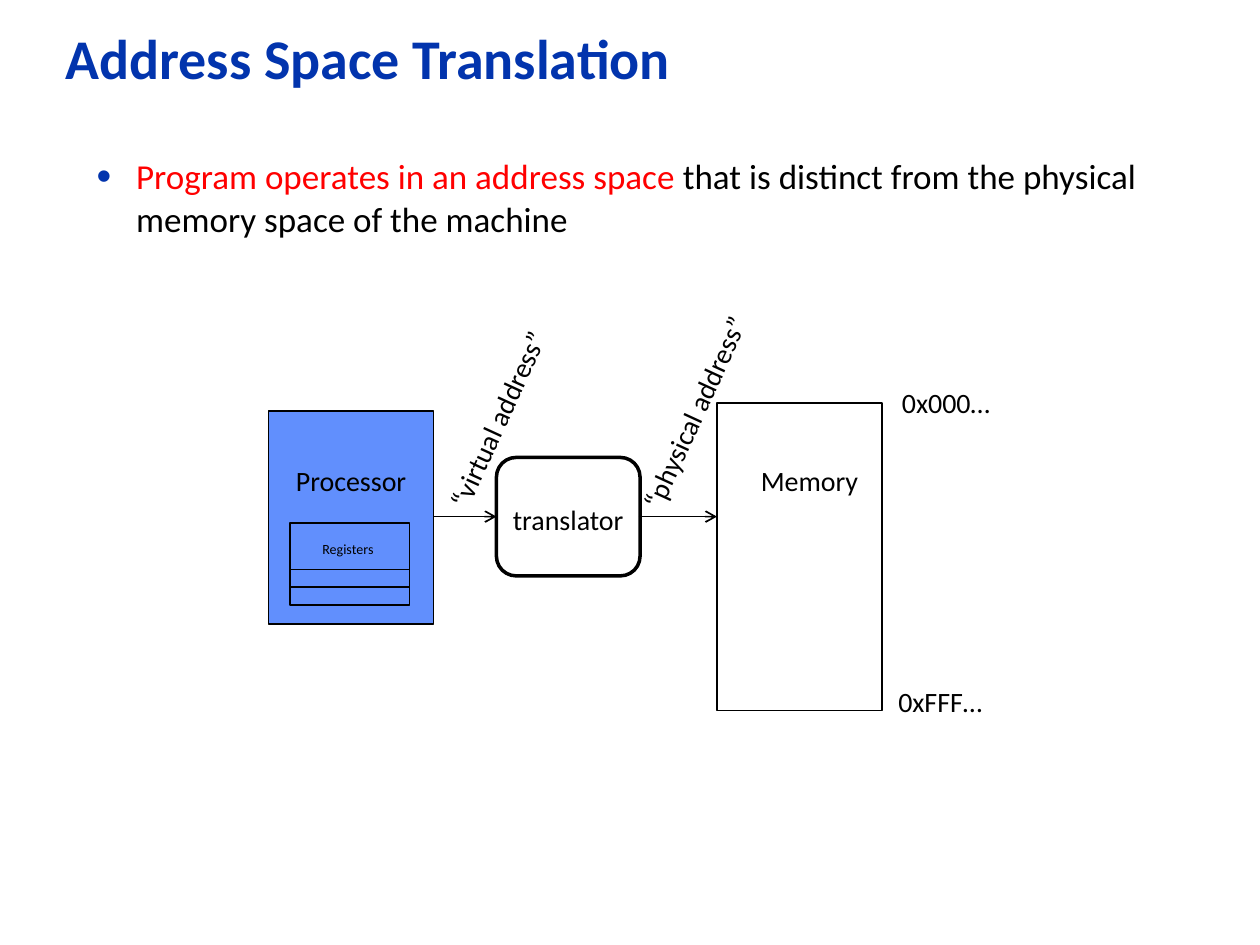
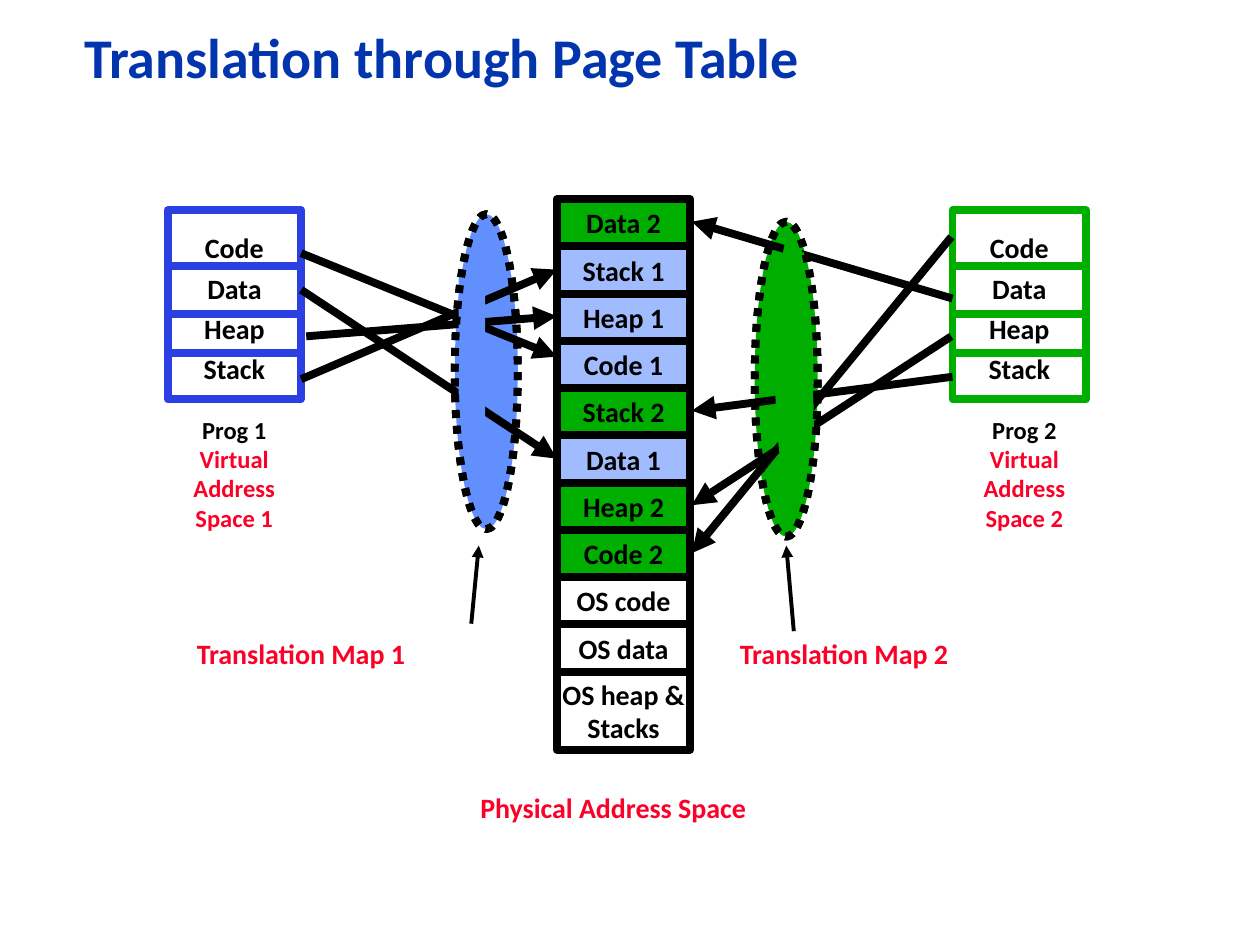
from lxml import etree
from pptx import Presentation
from pptx.dml.color import RGBColor
from pptx.enum import dml, shapes, text
from pptx.oxml.ns import qn
from pptx.util import Pt

# Shared style
FONT = "Calibri"
BLACK = RGBColor(0x00, 0x00, 0x00)
WHITE = RGBColor(0xFF, 0xFF, 0xFF)
TITLE_BLUE = RGBColor(0x02, 0x34, 0xAD)
RED = RGBColor(0xFF, 0x00, 0x00)
LABEL_RED = RGBColor(0xFC, 0x01, 0x28)
BLUE = RGBColor(0x61, 0x8F, 0xFD)
PALE_BLUE = RGBColor(0xA0, 0xBC, 0xFE)
FRAME_BLUE = RGBColor(0x2A, 0x40, 0xE2)
GREEN = RGBColor(0x00, 0xAE, 0x00)

RECTANGLE = shapes.MSO_SHAPE.RECTANGLE
ELLIPSE = shapes.MSO_SHAPE.OVAL
ROUNDED = shapes.MSO_SHAPE.FLOWCHART_ALTERNATE_PROCESS
LEFT, CENTER = text.PP_ALIGN.LEFT, text.PP_ALIGN.CENTER
TOP, MIDDLE = text.MSO_ANCHOR.TOP, text.MSO_ANCHOR.MIDDLE
WIDE_INSETS = (7.2, 3.6, 7.2, 3.6)
INSETS = (5.2, 2.9, 5.2, 2.9)
THICK = 4.5

# Slide 1 content: boxes are (left, top, width, height)
STATEMENT = [[("Program operates in an address space", RED),
              (" that is distinct from the physical memory space of the machine", BLACK)]]
MACHINE_BOXES = [
    ((409.7, 230.4, 94.3, 175.7), None),
    ((153.4, 234.7, 94.3, 121.7), BLUE),
    ((165.6, 298.8, 68.4, 46.8), None),
    ((165.6, 325.4, 68.4, 10.1), None),
]
TRANSLATOR_BOX = (283.7, 261.4, 82.1, 67.7)
BUS_Y = 295.2
BUSES = [(247.7, 283.7), (365, 409.7)]
MACHINE_LABELS = [  # text, box, size, rotation
    ("Processor", (162, 261.4, 79.9, 26.6), 16, 0),
    ("Memory", (427.7, 261.4, 70.6, 26.6), 16, 0),
    ("0x000…", (508.3, 216.7, 65.5, 26.6), 16, 0),
    ("0xFFF…", (506.2, 387.4, 63.4, 26.6), 16, 0),
    ("“virtual address”", (222.5, 226.1, 123.8, 26.6), 16, 294.7),
    ("“physical address”", (329.8, 221.8, 134.6, 26.6), 16, 294.7),
    ("Registers", (177.1, 305.3, 44.6, 17.3), 8, 0),
]

# Slide 2 content
SEGMENTS = ["Code", "Data", "Heap", "Stack"]
SEGMENT_DIVIDERS = [151.9, 179.3, 201.6]
PROGRAMS = [  # number, segment box left, caption left, frame colour
    (1, 95.8, 105.1, FRAME_BLUE),
    (2, 544.3, 556.6, GREEN),
]
BLOCK_WIDTH = 76.3
PHYSICAL_BLOCKS = [
    ("Data 2", GREEN), ("Stack 1", PALE_BLUE), ("Heap 1", PALE_BLUE),
    ("Code 1", PALE_BLUE), ("Stack 2", GREEN), ("Data 1", PALE_BLUE),
    ("Heap 2", GREEN), ("Code 2", GREEN), ("OS code", WHITE), ("OS data", WHITE),
    ("OS heap &\nStacks", WHITE),
]
PHYSICAL_LEFT, PHYSICAL_TOP, BLOCK_HEIGHT, LAST_HEIGHT = 318.2, 113.8, 27, 44.6
MAPPINGS = [
    ((172.1, 144.7), (318.2, 203.8)), ((172.1, 165.6), (318.2, 262.1)),
    ((175, 192.2), (318.2, 180.7)), ((172.1, 216.7), (318.2, 154.1)),
    ((543.6, 135.4), (395.3, 316.1)), ((544.3, 170.6), (395.3, 126.7)),
    ((543.6, 192.2), (395.3, 288.7)), ((544.3, 215.3), (395.3, 234.7)),
]
MAPS = [((431.3, 126.7, 36, 180), GREEN), ((259.9, 122.4, 36, 180), BLUE)]
MAP_COVERS = [  # parts of the maps that hide the arrows: kind, box, colour, rotation
    (RECTANGLE, (262.1, 157.7, 15.1, 80.6), BLUE, 0),
    (RECTANGLE, (453.6, 144.7, 8.6, 27.4), GREEN, 348.5),
    (ELLIPSE, (442.8, 131.8, 20.2, 152.6), GREEN, 0),
    (ELLIPSE, (447.8, 191.5, 17.3, 98.6), GREEN, 0),
]
MAP_POINTERS = [((269.3, 356.4), (273.6, 311.8)), ((453.6, 360.7), (449.3, 311.8))]
RED_LABELS = [
    ("Translation Map 1", (107.3, 360.7, 131.8, 24.5)),
    ("Translation Map 2", (417.6, 360.7, 131.8, 24.5)),
    ("Physical Address Space", (269.3, 448.6, 164.9, 24.5)),
]


def write_text(shape, content, size=16, color=BLACK, bold=False, align=LEFT,
               anchor=TOP, insets=INSETS, wrap=False, spacing=None):
    """Content is a string, or paragraphs given as lists of (text, colour)."""
    if isinstance(content, str):
        content = [[(line, color)] for line in content.split("\n")]
    frame = shape.text_frame
    frame.auto_size = text.MSO_AUTO_SIZE.NONE
    frame.word_wrap = wrap
    frame.vertical_anchor = anchor
    (frame.margin_left, frame.margin_top,
     frame.margin_right, frame.margin_bottom) = map(Pt, insets)
    for index, runs in enumerate(content):
        paragraph = frame.add_paragraph() if index else frame.paragraphs[0]
        paragraph.alignment = align
        if spacing:
            paragraph.line_spacing = spacing
        for words, run_color in runs:
            run = paragraph.add_run()
            run.text = words
            run.font.name, run.font.size, run.font.bold = FONT, Pt(size), bold
            run.font.color.rgb = run_color


def add_title_slide(presentation, title, box):
    slide = presentation.slides.add_slide(presentation.slide_layouts[5])
    shape = slide.shapes.title
    shape.left, shape.top, shape.width, shape.height = map(Pt, box)
    write_text(shape, title, size=32, color=TITLE_BLUE, bold=True, anchor=MIDDLE,
               insets=WIDE_INSETS, wrap=True, spacing=0.9)
    return slide


def add_label(slide, content, box, rotation=0, **style):
    shape = slide.shapes.add_textbox(*map(Pt, box))
    shape.rotation = rotation
    write_text(shape, content, **style)
    return shape


def add_box(slide, kind, box, fill=None, line=None, width=1, dotted=False, rotation=0):
    shape = slide.shapes.add_shape(kind, *map(Pt, box))
    shape.shadow.inherit = False
    shape.rotation = rotation
    if fill is None:
        shape.fill.background()
    else:
        shape.fill.solid()
        shape.fill.fore_color.rgb = fill
    if line is None:
        shape.line.fill.background()
    else:
        shape.line.color.rgb, shape.line.width = line, Pt(width)
    if dotted:
        shape.line.dash_style = dml.MSO_LINE.ROUND_DOT
    return shape


def add_line(slide, start, end, color=BLACK, width=1, head=None):
    connector = slide.shapes.add_connector(
        shapes.MSO_CONNECTOR.STRAIGHT, *map(Pt, (*start, *end)))
    connector.line.color.rgb, connector.line.width = color, Pt(width)
    if head:
        etree.SubElement(connector.line._get_or_add_ln(), qn("a:tailEnd"), type=head)
    etree.SubElement(connector._element.spPr, qn("a:effectLst"))


def add_bullet(paragraph, color, indent):
    properties = paragraph._p.get_or_add_pPr()
    properties.set("marL", str(Pt(indent)))
    properties.set("indent", str(-Pt(indent)))
    bullet_color = etree.SubElement(properties, qn("a:buClr"))
    etree.SubElement(bullet_color, qn("a:srgbClr"), val=str(color))
    etree.SubElement(properties, qn("a:buSzPct"), val="120000")
    etree.SubElement(properties, qn("a:buFont"), typeface="Arial")
    etree.SubElement(properties, qn("a:buChar"), char="•")


def build_address_space(presentation):
    slide = add_title_slide(presentation, "Address Space Translation",
                            (30.2, 11.5, 591.8, 46.8))
    statement = add_label(slide, STATEMENT, (48.2, 85, 608.4, 80.6), size=20,
                          wrap=True, insets=WIDE_INSETS)
    add_bullet(statement.text_frame.paragraphs[0], TITLE_BLUE, 22.5)

    # Processor, memory and translator
    for box, fill in MACHINE_BOXES:
        add_box(slide, RECTANGLE, box, fill, BLACK)
    translator = add_box(slide, ROUNDED, TRANSLATOR_BOX, WHITE, BLACK, 2)
    write_text(translator, "translator", align=CENTER, insets=(5.2, 22.4, 5.2, 2.9))
    for start, end in BUSES:
        add_line(slide, (start, BUS_Y), (end, BUS_Y), head="arrow")
    for words, box, size, rotation in MACHINE_LABELS:
        add_label(slide, words, box, rotation, size=size, insets=WIDE_INSETS)


def build_page_table(presentation):
    slide = add_title_slide(presentation, "Translation through Page Table",
                            (41, 13.7, 563.8, 41.8))
    for box, fill in MAPS:
        add_box(slide, ELLIPSE, box, fill, BLACK, THICK, dotted=True)

    # Virtual address spaces
    for number, left, caption_left, color in PROGRAMS:
        caption = [[(f"Prog {number}", BLACK)]] + [
            [(line, LABEL_RED)] for line in ("Virtual", "Address", f"Space {number}")]
        add_label(slide, caption, (caption_left, 234, 57.6, 73.4), size=14, bold=True,
                  align=CENTER)
        frame = add_box(slide, RECTANGLE, (left, 120.2, BLOCK_WIDTH, 108), WHITE,
                        color, THICK)
        write_text(frame, "\n".join(SEGMENTS), bold=True, align=CENTER, anchor=MIDDLE,
                   spacing=1.2)
        for y in SEGMENT_DIVIDERS:
            add_line(slide, (left, y), (left + BLOCK_WIDTH, y), color, THICK)

    # Physical address space
    for index, (words, fill) in enumerate(PHYSICAL_BLOCKS):
        height = LAST_HEIGHT if index == len(PHYSICAL_BLOCKS) - 1 else BLOCK_HEIGHT
        top = PHYSICAL_TOP + index * BLOCK_HEIGHT
        block = add_box(slide, RECTANGLE, (PHYSICAL_LEFT, top, BLOCK_WIDTH, height),
                        fill, BLACK, THICK)
        write_text(block, words, bold=True, align=CENTER, anchor=MIDDLE)

    # Mappings that pass behind the translation maps
    for start, end in MAPPINGS:
        add_line(slide, start, end, width=THICK, head="triangle")
    for kind, box, fill, rotation in MAP_COVERS:
        add_box(slide, kind, box, fill, rotation=rotation)
    for box, _ in MAPS:
        add_box(slide, ELLIPSE, box, None, BLACK, THICK, dotted=True)

    # Captions and pointers
    for words, box in RED_LABELS:
        add_label(slide, words, box, color=LABEL_RED, bold=True)
    for start, end in MAP_POINTERS:
        add_line(slide, start, end, width=2.25, head="triangle")


def main():
    presentation = Presentation()
    presentation.slide_width, presentation.slide_height = Pt(720), Pt(540)
    build_address_space(presentation)
    build_page_table(presentation)
    presentation.save("out.pptx")


if __name__ == "__main__":
    main()
